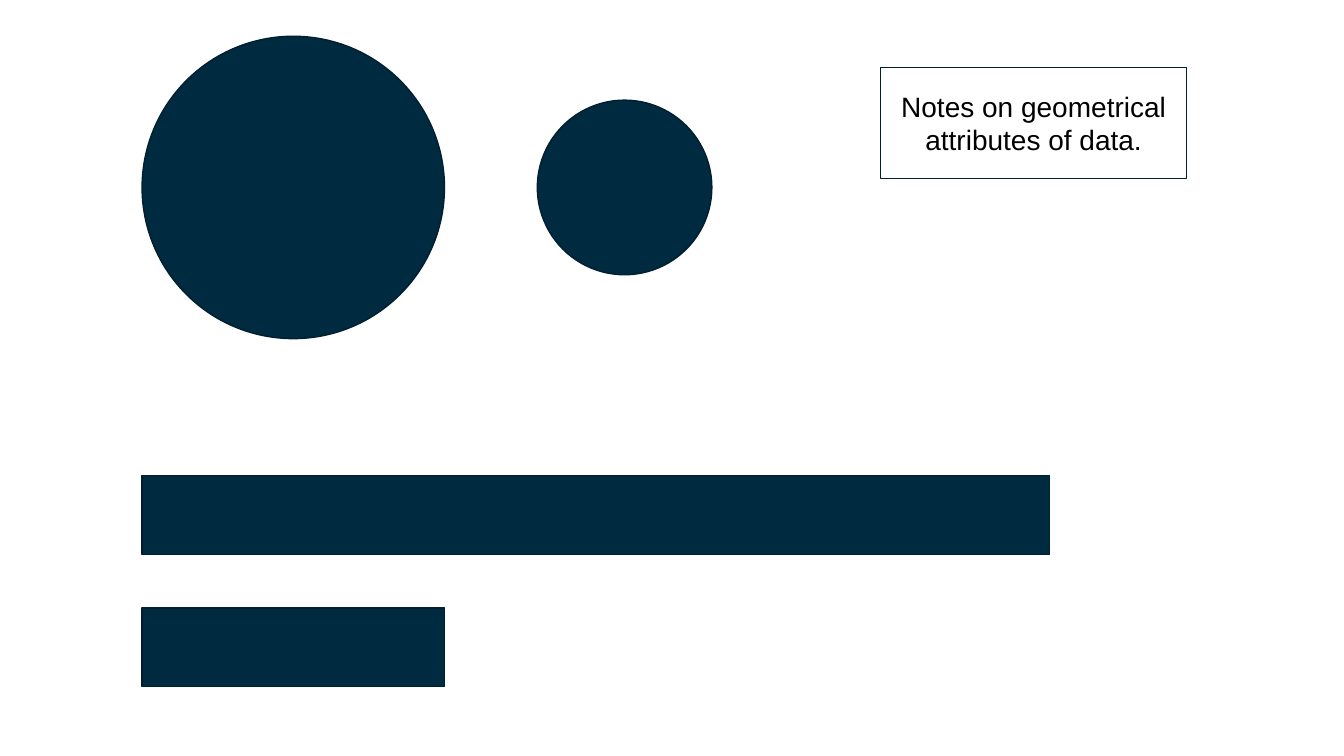
import math

import pptx
import pptx.dml.color
import pptx.enum.shapes
import pptx.enum.text
import pptx.util

Pt = pptx.util.Pt
SHAPES = pptx.enum.shapes.MSO_SHAPE
NAVY, OUTLINE, BLACK, WHITE = "002A40", "001F2F", "000000", "FFFFFF"


def color(hex_string):
    return pptx.dml.color.RGBColor.from_string(hex_string)


def add_figure(page, kind, left, top, width, height, fill=None, line_width=1):
    figure = page.shapes.add_shape(kind, Pt(left), Pt(top), Pt(width), Pt(height))
    figure.shadow.inherit = False
    if fill:
        figure.fill.solid()
        figure.fill.fore_color.rgb = color(fill)
    else:
        figure.fill.background()
    figure.line.color.rgb = color(OUTLINE)
    figure.line.width = Pt(line_width)
    return figure


def add_bars(page, left, top, width, height, ratio):
    """Two bars whose lengths stand in the given ratio."""
    thickness = 56.2
    for bar_top, length in ((top, width), (top + height - thickness, width / ratio)):
        add_figure(page, SHAPES.RECTANGLE, left, bar_top, length, thickness, NAVY)


def add_circles(page, left, top, width, height, ratio):
    """Two vertically centred circles whose areas stand in the given ratio."""
    small = height / math.sqrt(ratio)
    for circle_left, size in ((left, height), (left + width - small, small)):
        circle_top = top + (height - size) / 2
        add_figure(page, SHAPES.OVAL, circle_left, circle_top, size, size, NAVY)


def add_note(page, left, top, width, height, text):
    box = add_figure(page, SHAPES.RECTANGLE, left, top, width, height, line_width=0.75)
    frame = box.text_frame
    frame.word_wrap = True
    frame.vertical_anchor = pptx.enum.text.MSO_ANCHOR.MIDDLE
    para = frame.paragraphs[0]
    para.alignment = pptx.enum.text.PP_ALIGN.CENTER
    para.space_after = Pt(6)
    span = para.add_run()
    span.text = text
    span.font.name = "Arial"
    span.font.size = Pt(20)
    span.font.color.rgb = color(BLACK)


def main():
    deck = pptx.Presentation()
    deck.slide_width, deck.slide_height = Pt(960), Pt(540)
    page = deck.slides.add_slide(deck.slide_layouts[6])
    page.background.fill.solid()
    page.background.fill.fore_color.rgb = color(WHITE)

    # The same 3:1 ratio, shown as length and as area
    left, ratio = 101.5, 3
    add_bars(page, left, 339.8, 648, 150.6, ratio)
    add_circles(page, left, 25.9, 407, 216, ratio)

    # Note at top right
    add_note(page, 629.3, 48.2, 218.2, 79.2, "Notes on geometrical attributes of data.")
    deck.save("out.pptx")


if __name__ == "__main__":
    main()
